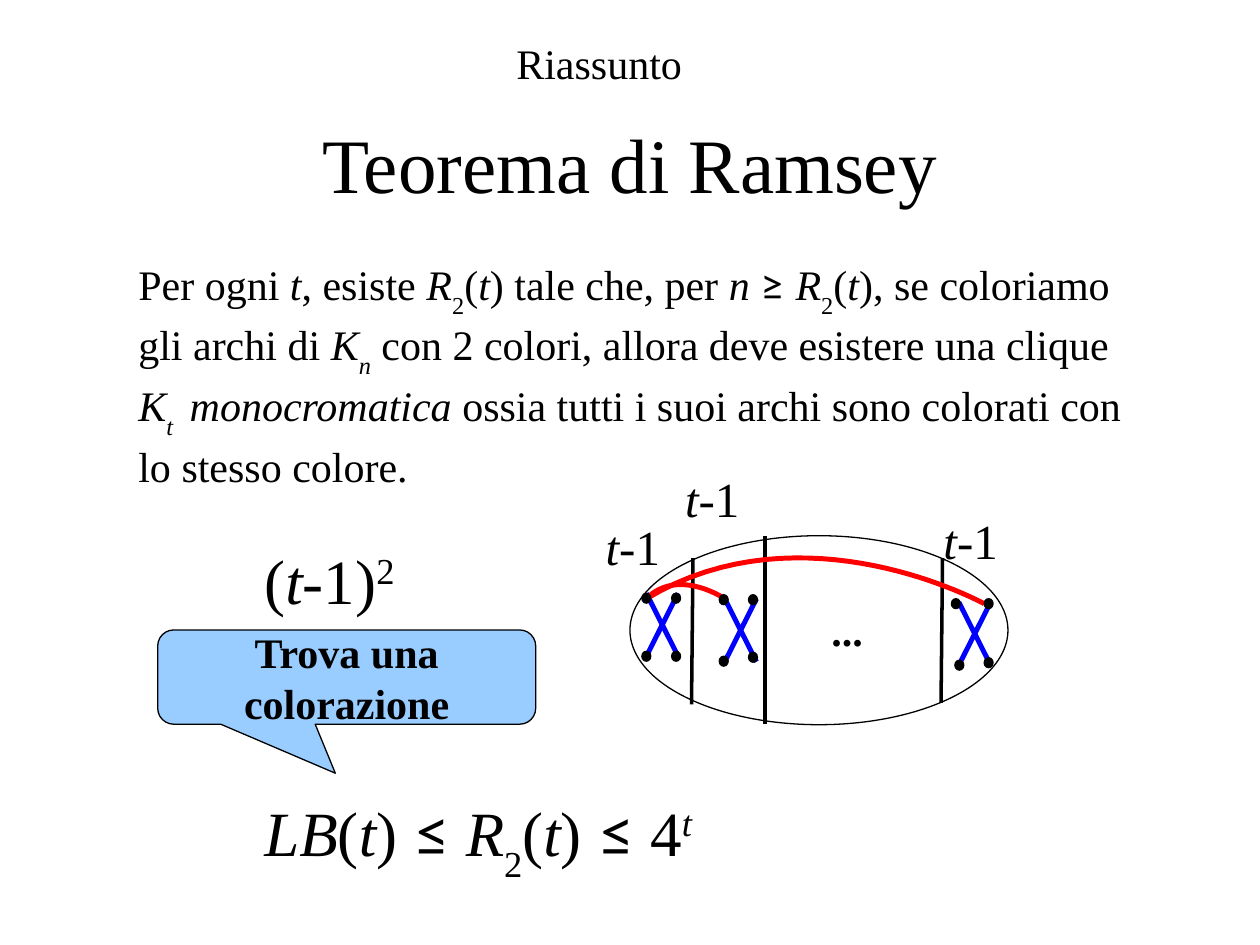
from lxml import etree
from pptx import Presentation
from pptx.dml.color import RGBColor
from pptx.enum import shapes, text
from pptx.oxml import ns
from pptx.util import Cm, Pt

HUES = {"ink": "000000", "paper": "FFFFFF", "sky": "99CCFF", "blue": "0000FF", "red": "FF0000"}
BASES = {"sub": "-33000", "sup": "33000"}
THICK = 2.83


def hue(name):
    return RGBColor.from_string(HUES[name])


def write(para, words, size=24, face="Times New Roman", bold=False, slant=False, base=None):
    run = para.add_run()
    run.text = words
    font = run.font
    font.size, font.name, font.bold, font.italic = Pt(size), face, bold, slant
    font.color.rgb = hue("ink")
    if base:
        font._element.set("baseline", BASES[base])


class Deck:
    it = {"slant": True}
    sub = {"base": "sub"}
    sup = {"base": "sup"}
    low = {"slant": True, "base": "sub"}
    high = {"slant": True, "base": "sup"}
    sign = {"face": "Lato"}

    def __init__(self):
        self.show = Presentation()
        self.show.slide_width, self.show.slide_height = Cm(25.4), Cm(19.05)
        self.slide = self.show.slides.add_slide(self.show.slide_layouts[6])

    def fill(self, frame, parts, align="LEFT", mid=False, wrap=True, **style):
        frame.word_wrap = wrap
        frame.vertical_anchor = text.MSO_ANCHOR.MIDDLE if mid else text.MSO_ANCHOR.TOP
        para = frame.paragraphs[0]
        para.alignment = text.PP_ALIGN[align]
        for part in parts:
            words, form = (part, {}) if isinstance(part, str) else part
            write(para, words, **{**style, **form})

    def label(self, box, *parts, **style):
        shape = self.slide.shapes.add_textbox(*map(Cm, box))
        self.fill(shape.text_frame, parts, **style)

    def shape(self, kind, box, tint):
        shape = self.slide.shapes.add_shape(kind, *map(Cm, box))
        shape.shadow.inherit = False
        shape.fill.solid()
        shape.fill.fore_color.rgb = hue(tint)
        self.edge(shape.line)
        return shape

    def oval(self, box, tint):
        self.shape(shapes.MSO_SHAPE.OVAL, box, tint)

    def bubble(self, box, tail, *parts, **style):
        shape = self.shape(shapes.MSO_SHAPE.ROUNDED_RECTANGULAR_CALLOUT, box, "sky")
        for i, value in enumerate(tail):
            shape.adjustments[i] = value
        self.fill(shape.text_frame, parts, align="CENTER", mid=True, **style)

    def edge(self, line, tint="ink", width=0):
        line.color.rgb = hue(tint)
        line.width = Pt(width)

    def line(self, start, end, tint="ink", width=0):
        link = self.slide.shapes.add_connector(
            shapes.MSO_CONNECTOR.STRAIGHT, *map(Cm, start + end))
        etree.SubElement(link._element.spPr, ns.qn("a:effectLst"))
        self.edge(link.line, tint, width)

    def cross(self, left, top, wide=0.64, high=1.27):
        right, foot = left + wide, top + high
        self.line((left, top), (right, foot), "blue", THICK)
        self.line((left, foot), (right, top), "blue", THICK)

    def curve(self, start, bend, end, steps=32):
        def spot(t):
            a, b, c = (1 - t) ** 3, 3 * t * (1 - t) ** 2, 3 * t * t * (1 - t) + t ** 3
            return tuple(Cm(a * p + b * q + c * r) for p, q, r in zip(start, bend, end))

        path = self.slide.shapes.build_freeform(*spot(0))
        path.add_line_segments([spot(i / steps) for i in range(1, steps + 1)], close=False)
        shape = path.convert_to_shape()
        shape.shadow.inherit = False
        shape.fill.background()
        self.edge(shape.line, "red", THICK)


def main():
    deck = Deck()
    it, sub, sup, low, high, sign = deck.it, deck.sub, deck.sup, deck.low, deck.high, deck.sign
    bound = [("R", it), ("2", sub), "(", ("t", it)]

    deck.label((1.9, 1.7, 21.6, 3.18), "Teorema di Ramsey", size=44, align="CENTER", mid=True)
    deck.label(
        (2.54, 5.08, 20.96, 4.93),
        "Per ogni ", ("t", it), ", esiste ", *bound, ") tale che, per ", ("n ", it),
        ("≥ ", sign), *bound, "), se coloriamo gli archi di ", ("K", it), ("n", low),
        " con 2 colori, allora deve esistere una clique ", ("K", it), ("t ", low),
        (" monocromatica", it), " ossia tutti i suoi archi sono colorati con lo stesso colore.")
    deck.label(
        (5.08, 15.88, 12.7, 2.08),
        ("LB", it), "(", ("t", it), ") ", ("≤ ", sign), *bound, ") ", ("≤ ", sign),
        "4", ("t", high), size=36)
    deck.bubble((3.18, 12.7, 7.62, 1.9), (-0.03, 1.02, 0.17), "Trova una colorazione", bold=True)
    deck.label((5.08, 10.8, 3.81, 1.78), "(", ("t", it), "-1)", ("2", sup), size=36)

    deck.oval((12.7, 10.8, 7.62, 3.81), "paper")
    for start, end in [((13.97, 11.25), (13.94, 14.2)),
                       ((19, 11.25), (18.97, 14.17)),
                       ((15.42, 10.8), (15.42, 14.6))]:
        deck.line(start, end)
    deck.label((16.51, 12.07, 1.14, 1.27), "...", bold=True, wrap=False)
    for left, top in [(14.61, 12.07), (19.33, 12.14), (13.03, 11.96)]:
        deck.cross(left, top)
    root = (13.03, 12.07)
    deck.curve(root, (13.67, 11.43), (14.61, 12.07))
    deck.curve(root, (16.2, 10.16), (19.84, 12.17))
    for left, tops in [(12.94, (11.96, 13.13)), (13.54, (11.96, 13.13)),
                       (14.5, (11.99, 13.23)), (15.09, (11.99, 13.15)),
                       (19.18, (12.07,)), (19.25, (13.31,)), (19.84, (12.07, 13.26))]:
        for top in tops:
            deck.oval((left, top, 0.18, 0.2), "ink")
    for left, top in [(11.96, 10.29), (18.77, 10.16), (13.56, 9.32)]:
        deck.label((left, top, 2, 1.78), ("t", it), "-1", size=28)
    deck.label((10.16, 0.64, 4.45, 1.27), "Riassunto")

    deck.show.save("out.pptx")


if __name__ == "__main__":
    main()
